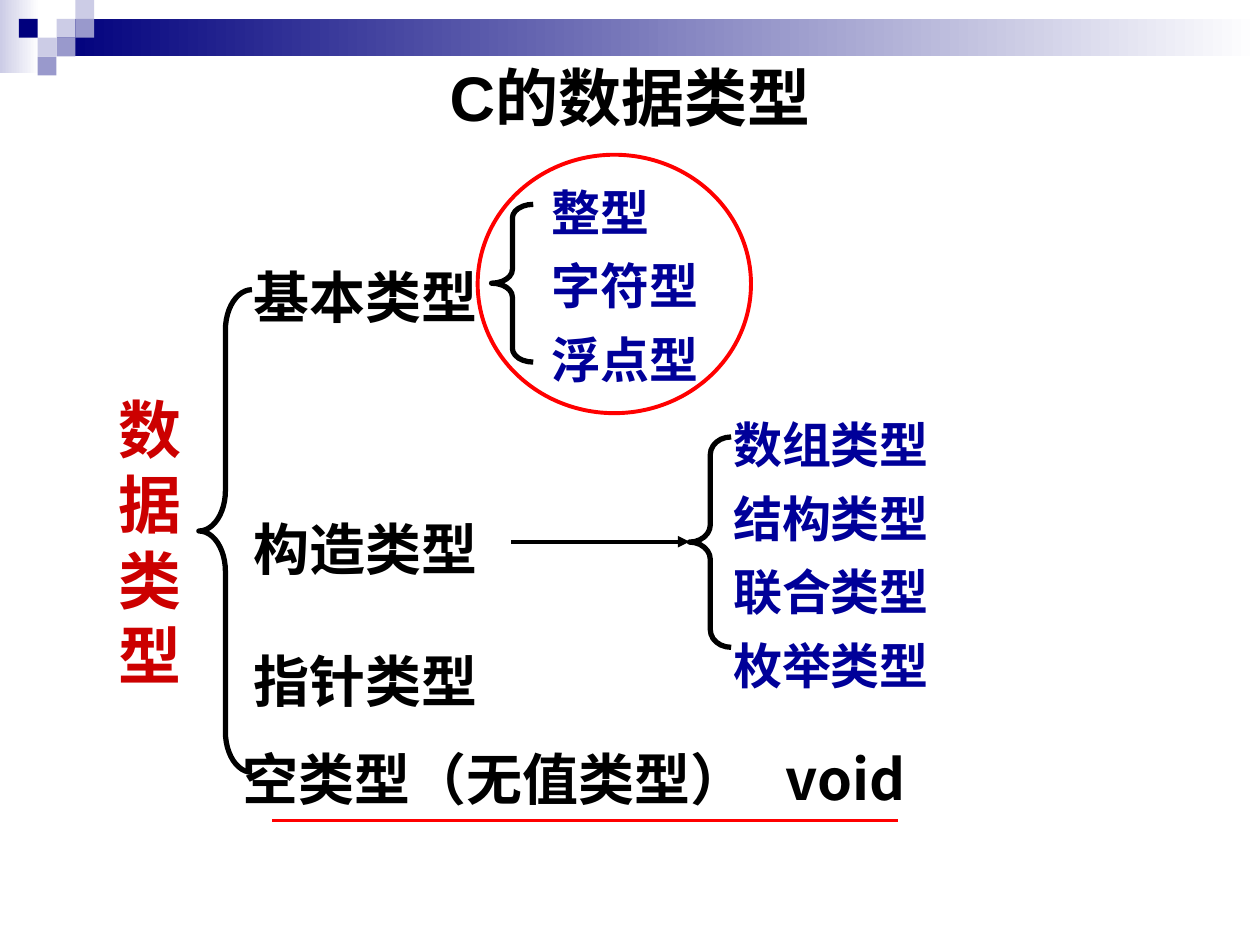
import lxml.etree
import pptx
import pptx.util
import pptx.dml.color
import pptx.enum.shapes
import pptx.enum.text
import pptx.oxml.ns
from pptx.util import Cm

COLORS = {"navy": "00007D", "lilac": "CCCCE6", "violet": "9999CC", "white": "FFFFFF",
          "black": "000000", "crimson": "CC0000", "blue": "000099", "red": "FF0000"}
SHAPES = pptx.enum.shapes.MSO_SHAPE
ALIGN = pptx.enum.text.PP_ALIGN
ANCHOR = pptx.enum.text.MSO_ANCHOR
HAN_FONT = "Noto Sans CJK SC"
SERIF = "Times New Roman"


def rgb(name):
    """Return the named colour."""
    return pptx.dml.color.RGBColor.from_string(COLORS[name])


def add_child(parent, tag, **attributes):
    """Append a drawing element to a parent and return it."""
    child = lxml.etree.SubElement(parent, pptx.oxml.ns.qn(tag))
    for key, value in attributes.items():
        child.set(key, str(value))
    return child


def add_figure(page, kind, box, fill=None, gradient=None, line=None, weight=2.25):
    """Add a preset shape with a plain, gradient or empty fill."""
    figure = page.shapes.add_shape(kind, *map(Cm, box))
    figure.shadow.inherit = False
    if gradient:
        figure.fill.gradient()
        figure.fill.gradient_angle = 0
        for stop, name in zip(figure.fill.gradient_stops, gradient):
            stop.color.rgb = rgb(name)
    elif fill:
        figure.fill.solid()
        figure.fill.fore_color.rgb = rgb(fill)
    else:
        figure.fill.background()
    if line:
        figure.line.color.rgb = rgb(line)
        figure.line.width = pptx.util.Pt(weight)
    else:
        figure.line.fill.background()
    return figure


def add_brace(page, box, curve):
    """Add a left brace with the given curve ratio."""
    brace = add_figure(page, SHAPES.LEFT_BRACE, box, line="black", weight=3)
    brace.adjustments[0] = curve


def add_line(page, left, right, top, color, arrow=False):
    """Add a horizontal line, with an arrowhead on request."""
    line = page.shapes.add_connector(pptx.enum.shapes.MSO_CONNECTOR.STRAIGHT,
                                     Cm(left), Cm(top), Cm(right), Cm(top))
    line.line.color.rgb = rgb(color)
    line.line.width = pptx.util.Pt(2.25)
    if arrow:
        add_child(line.line._get_or_add_ln(), "a:tailEnd", type="triangle")
    add_child(line._element.spPr, "a:effectLst")


def add_text(page, text, box, size=32, font="Noto Sans CJK JP", color="black",
             align=ALIGN.LEFT, anchor=ANCHOR.TOP, margins=(0.25, 0), spacing=1.3, tab=None):
    """Add a bold one-paragraph text box."""
    label = page.shapes.add_textbox(*map(Cm, box))
    frame = label.text_frame
    frame.word_wrap = True
    frame.vertical_anchor = anchor
    frame.margin_left, frame.margin_right = map(Cm, margins)
    para = frame.paragraphs[0]
    para.alignment = align
    if spacing:
        para.line_spacing = pptx.util.Pt(size * spacing)
    if tab:
        stops = add_child(para._p.get_or_add_pPr(), "a:tabLst")
        add_child(stops, "a:tab", pos=int(Cm(tab)), algn="l")
    for index, part in enumerate(text.split("\t")):
        span = para.add_run()
        span.text = "\t" + part if index else part
        span.font.size = pptx.util.Pt(size)
        span.font.bold = True
        span.font.name = font
        span.font.color.rgb = rgb(color)
        add_child(span._r.get_or_add_rPr(), "a:ea", typeface=HAN_FONT)


def add_header(page, left, top, width):
    """Draw the gradient bar and the mosaic of squares."""
    side = 0.38
    add_figure(page, SHAPES.RECTANGLE, (left, top, 0.79, 1.47), gradient=("lilac", "white"))
    add_figure(page, SHAPES.RECTANGLE, (left + 3 * side, top + side, width - 3 * side, 2 * side),
               gradient=("navy", "white"))
    squares = [(3, 1, "lilac"), (4, 0, "lilac"), (4, 1, "violet"), (2, 2, "lilac"),
               (1, 1, "navy"), (3, 2, "violet"), (2, 3, "violet")]
    for column, row, color in squares:
        add_figure(page, SHAPES.RECTANGLE,
                   (left + column * side, top + row * side, side, side), fill=color)


def add_main_branches(page, left, top, width, height):
    """Place the root label, its brace and the four main types."""
    add_text(page, "数据类型", (left, top + 2.69, 1.68, 6.35), size=36, font=SERIF,
             color="crimson", align=ALIGN.CENTER, margins=(0.1, 0.1), spacing=1.2)
    add_brace(page, (left + 1.83, top + 0.79, 1.07, height - 1.63), 0.76)
    for text, offset in [("基本类型", 0), ("构造类型", 5.08), ("指针类型", 7.75)]:
        add_text(page, text, (left + 2.69, top + offset, 5.03, 1.63))
    add_text(page, "空类型（无值类型）\tvoid",
             (left + 2.46, top + 9.73, width - 2.46, 1.63), tab=10.95)


def add_subtypes(page, left, top, width, height, items, curve):
    """Place a brace and an evenly spaced list beside it."""
    row = 1.48
    add_brace(page, (left, top + 0.67, 0.84, height - 1.21), curve)
    for index, (text, font) in enumerate(items):
        add_text(page, text, (left + 0.84 + width[0], top + index * row, width[1], 1.45),
                 size=28, font=font, color="blue")


def main():
    """Build the slide and save it."""
    deck = pptx.Presentation()
    deck.slide_width, deck.slide_height = Cm(25.4), Cm(19.05)
    page = deck.slides.add_slide(deck.slide_layouts[6])
    add_header(page, 0, 0, 25.4)
    add_text(page, "C的数据类型", (0, 0.91, 25.4, 2.06), size=36, font="Arial",
             align=ALIGN.CENTER, anchor=ANCHOR.MIDDLE, margins=(0.25, 0.25), spacing=None)
    add_main_branches(page, 2.18, 5.05, 16.35, 11.36)
    add_subtypes(page, 9.91, 3.45, (0.12, 3.45), 4.39,
                 [("整型", HAN_FONT), ("字符型", HAN_FONT), ("浮点型", SERIF)], 0.33)
    add_subtypes(page, 13.9, 8.14, (-0.21, 4.45), 5.45,
                 [("数组类型", SERIF), ("结构类型", HAN_FONT),
                  ("联合类型", SERIF), ("枚举类型", HAN_FONT)], 0.42)
    add_line(page, 10.31, 13.9, 10.92, "black", arrow=True)
    add_figure(page, SHAPES.OVAL, (9.63, 3.12, 5.51, 5.21), line="red")
    add_line(page, 5.49, 18.11, 16.54, "red")
    deck.save("out.pptx")


if __name__ == "__main__":
    main()
